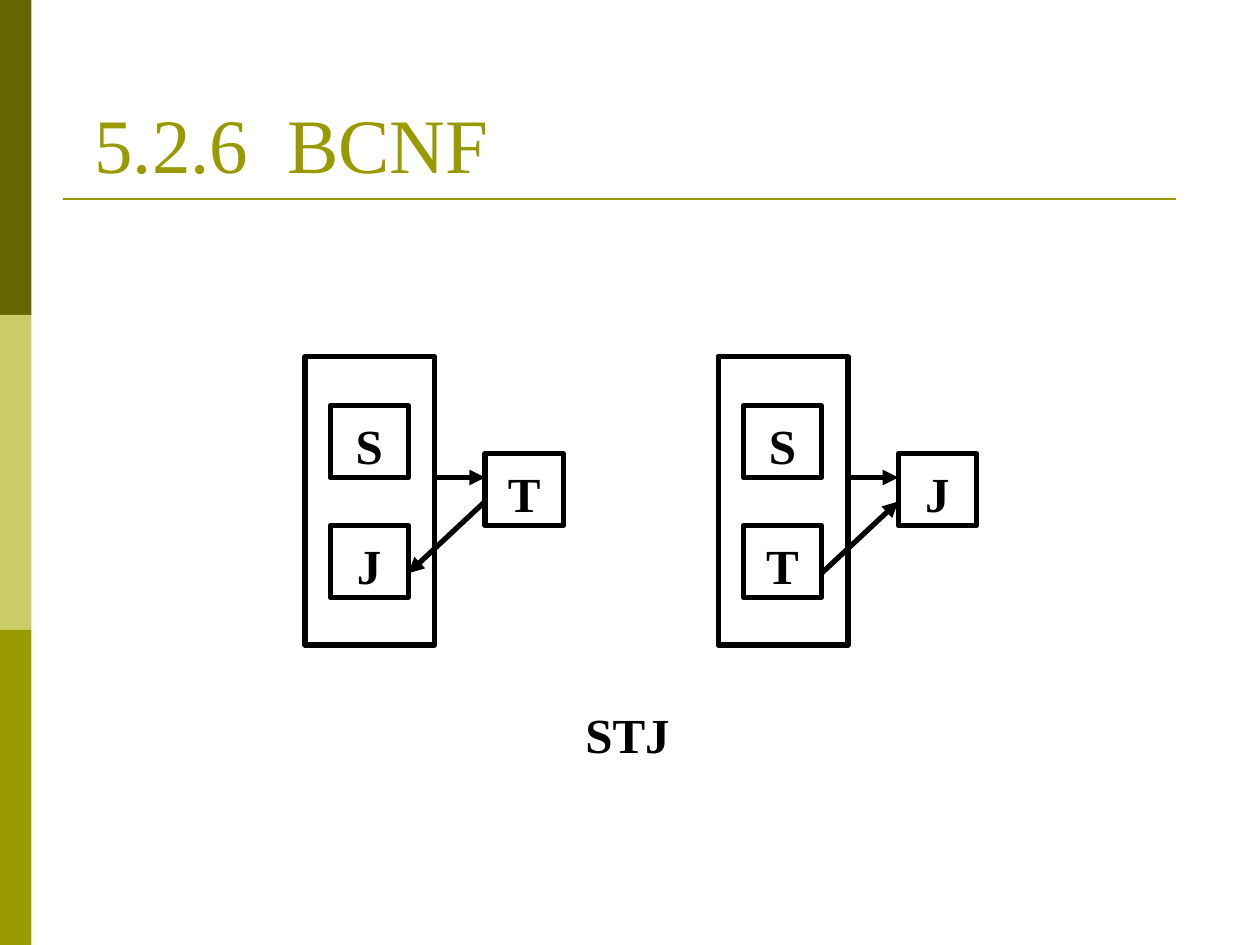
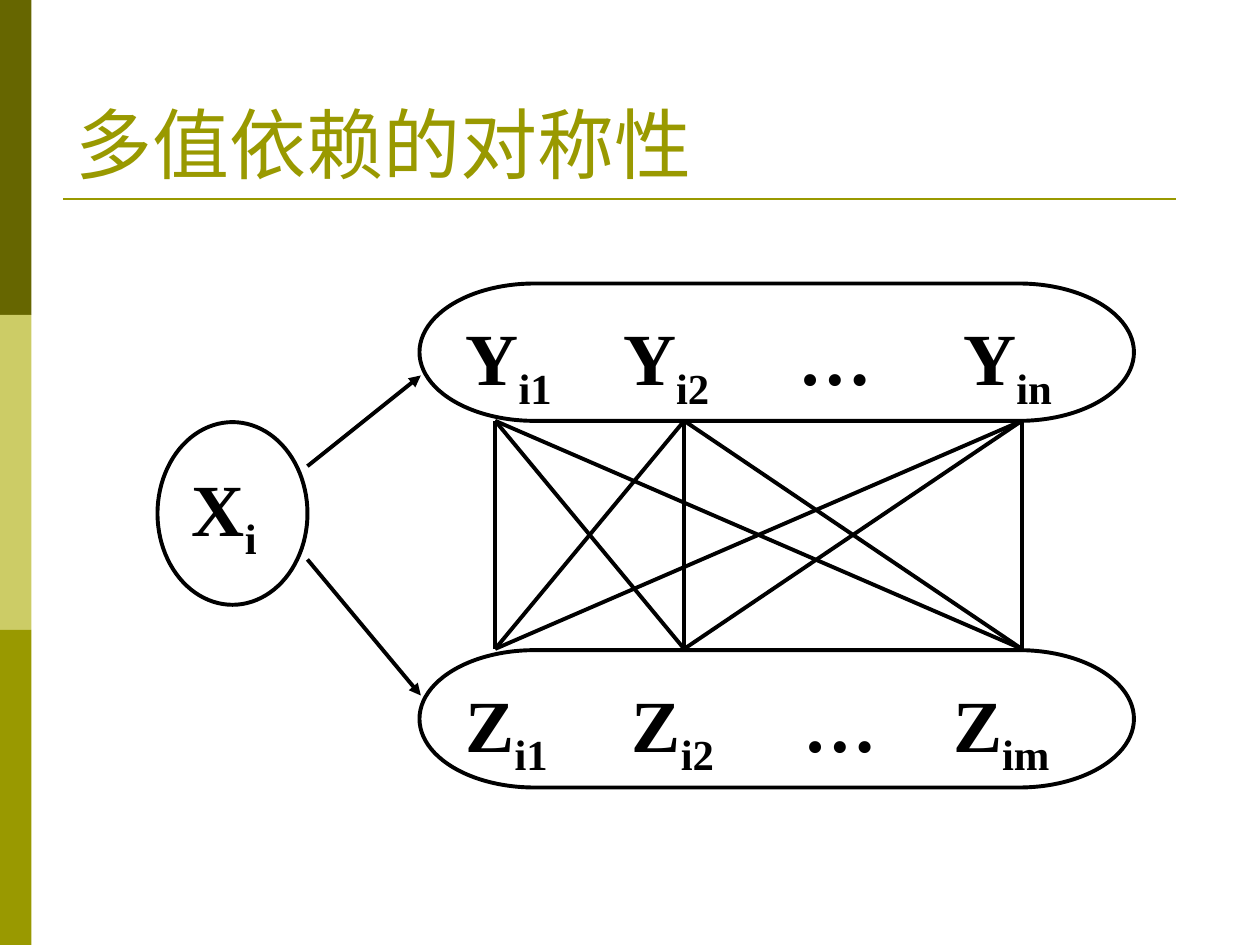
from dataclasses import dataclass
from itertools import product

from lxml.etree import SubElement
from pptx import Presentation
from pptx.dml.color import RGBColor
from pptx.enum.shapes import MSO_CONNECTOR, MSO_SHAPE
from pptx.enum.text import MSO_ANCHOR, PP_ALIGN
from pptx.oxml.ns import qn
from pptx.util import Inches, Pt

COLOURS = {
    "dark": "666600",
    "light": "CCCC66",
    "olive": "999900",
    "ink": "000000",
    "paper": "FFFFFF",
}
FONT = "Times New Roman"
BOX_SIZE = (0.62, 0.57)
THICK, MEDIUM = 3, 2.25


@dataclass(frozen=True)
class Dependency:
    """A pair of determining attributes and the attribute beside it."""
    left: float
    upper: str
    lower: str
    target: str
    points_back: bool


@dataclass(frozen=True)
class ValueRow:
    top: float
    runs: tuple[str, ...]
    tabs: tuple[float, ...]


DEPENDENCIES = (
    Dependency(2.42, "S", "J", "T", True),
    Dependency(5.7, "S", "T", "J", False),
)
VALUE_ROWS = (
    ValueRow(5.16, ("Z", "i1", "\tZ", "i2", "\t…\tZ", "im"), (1.32, 2.68, 3.87)),
    ValueRow(2.25, ("Y", "i1", "\tY", "i2", "\t…\tY", "in"), (1.25, 2.64, 3.95)),
)
VALUE_COLUMNS = (3.93, 5.43, 8.11)


def colour(name: str) -> RGBColor:
    return RGBColor.from_string(COLOURS[name])


def write(shape, *runs: str, size: float, color: str = "ink", bold: bool = True,
          align=PP_ALIGN.LEFT, anchor=MSO_ANCHOR.TOP, left: float = 0.1,
          top: float = 0.05, bottom: float = 0.05, tabs: tuple[float, ...] = ()) -> None:
    """Fill a shape with one paragraph; every second run is a subscript."""
    frame = shape.text_frame
    frame.word_wrap = True
    frame.vertical_anchor = anchor
    frame.margin_left, frame.margin_right = Inches(left), Inches(0.1)
    frame.margin_top, frame.margin_bottom = Inches(top), Inches(bottom)
    paragraph = frame.paragraphs[0]
    paragraph.alignment = align
    if tabs:
        tab_list = SubElement(paragraph._p.get_or_add_pPr(), qn("a:tabLst"))
        for stop in tabs:
            SubElement(tab_list, qn("a:tab"), pos=str(Inches(stop)), algn="l")
    for index, text in enumerate(runs):
        run = paragraph.add_run()
        run.text = text
        run.font.name, run.font.size, run.font.bold = FONT, Pt(size), bold
        run.font.color.rgb = colour(color)
        if index % 2:
            run._r.get_or_add_rPr().set("baseline", "-25000")


def add_figure(slide, kind, left: float, top: float, width: float, height: float,
               fill: str | None = None, line_width: float = 0):
    figure = slide.shapes.add_shape(
        kind, Inches(left), Inches(top), Inches(width), Inches(height))
    figure.shadow.inherit = False
    if fill:
        figure.fill.solid()
        figure.fill.fore_color.rgb = colour(fill)
    else:
        figure.fill.background()
    if line_width:
        figure.line.color.rgb = colour("ink")
        figure.line.width = Pt(line_width)
    else:
        figure.line.fill.background()
    return figure


def connect(slide, start: tuple[float, float], end: tuple[float, float],
            width: float = MEDIUM, color: str = "ink", arrow: bool = False) -> None:
    link = slide.shapes.add_connector(
        MSO_CONNECTOR.STRAIGHT, *(Inches(value) for value in (*start, *end)))
    link.line.color.rgb = colour(color)
    link.line.width = Pt(width)
    if arrow:
        SubElement(link.line._get_or_add_ln(), qn("a:tailEnd"), type="triangle")
    SubElement(link._element.spPr, qn("a:effectLst"))


def add_text_box(slide, left: float, top: float, width: float, height: float):
    return slide.shapes.add_textbox(
        Inches(left), Inches(top), Inches(width), Inches(height))


def add_titled_slide(presentation, title: str, **title_format):
    slide = presentation.slides.add_slide(presentation.slide_layouts[6])
    for index, band in enumerate(("dark", "light", "olive")):
        add_figure(slide, MSO_SHAPE.RECTANGLE, 0, 2.5 * index, 0.25, 2.5, band)
    connect(slide, (0.5, 1.58), (9.33, 1.58), width=1.5, color="olive")
    write(add_text_box(slide, 0.5, 0.3, 9, 1.25), title, size=44, color="olive",
          bold=False, anchor=MSO_ANCHOR.BOTTOM, **title_format)
    return slide


def label(shape, text: str) -> None:
    write(shape, text, size=28, align=PP_ALIGN.CENTER, top=0.08, bottom=0)


def draw_dependency(slide, dependency: Dependency) -> None:
    left = dependency.left
    add_figure(slide, MSO_SHAPE.RECTANGLE, left, 2.83, 1.03, 2.29, line_width=THICK)
    attributes = (
        (dependency.upper, 0.2, 3.22),
        (dependency.lower, 0.2, 4.17),
        (dependency.target, 1.43, 3.6),
    )
    for attribute, offset, top in attributes:
        box = add_figure(slide, MSO_SHAPE.RECTANGLE, left + offset, top, *BOX_SIZE,
                         line_width=THICK)
        label(box, attribute)
    target_edge = left + 1.43
    connect(slide, (left + 1.02, 3.79), (target_edge, 3.79), THICK, arrow=True)
    ends = [(left + 0.82, 4.55), (target_edge, 3.98)]
    if dependency.points_back:
        ends.reverse()
    connect(slide, *ends, THICK, arrow=True)


def build_bcnf(presentation) -> None:
    slide = add_titled_slide(presentation, "5.2.6\tBCNF", left=0.25, tabs=(1.53,))
    for dependency in DEPENDENCIES:
        draw_dependency(slide, dependency)
    label(add_text_box(slide, 4.47, 5.51, 1.02, 0.57), "STJ")


def build_symmetry(presentation) -> None:
    slide = add_titled_slide(presentation, "多值依赖的对称性")
    determinant = add_figure(slide, MSO_SHAPE.OVAL, 1.25, 3.35, 1.19, 1.45,
                             "paper", MEDIUM)
    write(determinant, "X", "i", size=42, top=0.11)
    for row in VALUE_ROWS:
        values = add_figure(slide, MSO_SHAPE.FLOWCHART_TERMINATOR, 3.33, row.top,
                            5.67, 1.09, "paper", MEDIUM)
        write(values, *row.runs, size=42, top=0.07, bottom=0, tabs=row.tabs)
    for start_y, end_y in ((3.7, 2.98), (4.44, 5.52)):
        connect(slide, (2.44, start_y), (3.34, end_y), arrow=True)
    for upper_x, lower_x in product(VALUE_COLUMNS, repeat=2):
        connect(slide, (upper_x, 3.34), (lower_x, 5.15))


def main() -> None:
    presentation = Presentation()
    presentation.slide_width, presentation.slide_height = Inches(10), Inches(7.5)
    build_bcnf(presentation)
    build_symmetry(presentation)
    presentation.save("out.pptx")


if __name__ == "__main__":
    main()
